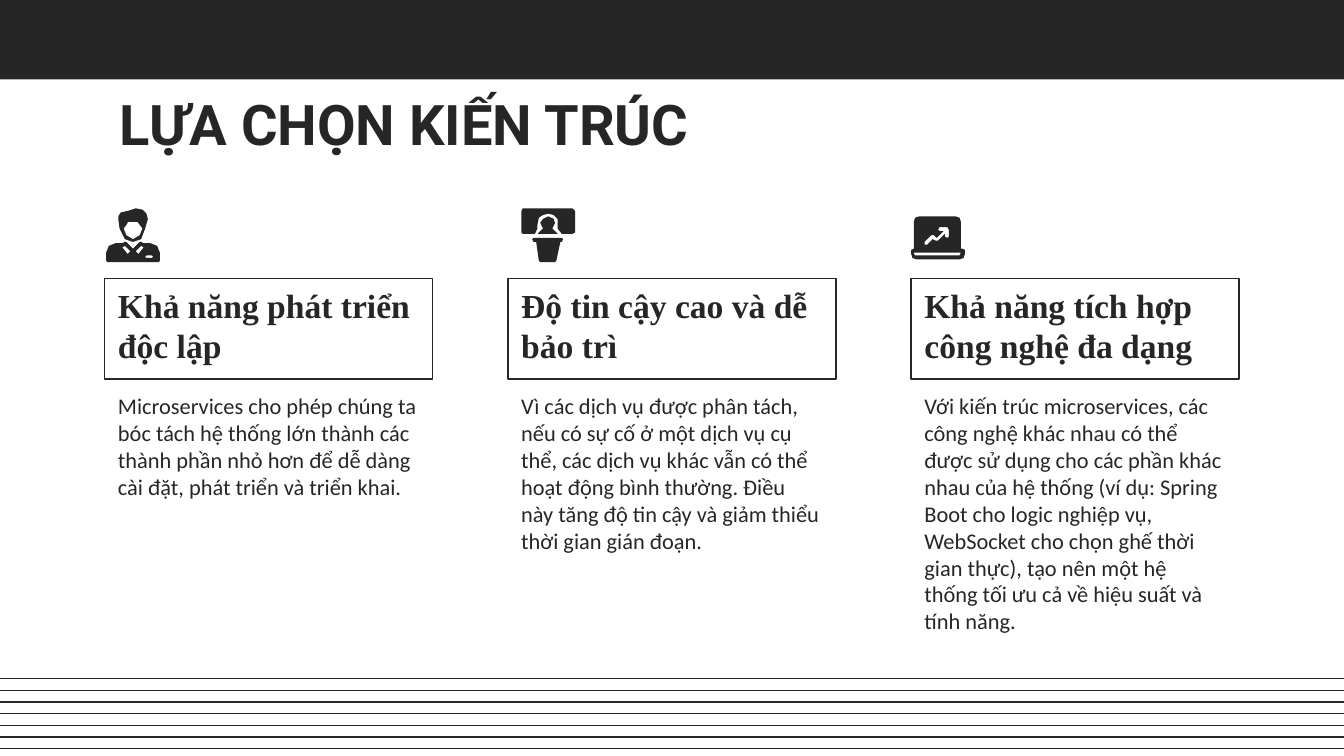
from pptx import Presentation
from pptx.dml.color import RGBColor
from pptx.enum import shapes, text
from pptx.util import Inches, Pt
from lxml import etree

DARK = RGBColor(0x26, 0x26, 0x26)
A_NS = "http://schemas.openxmlformats.org/drawingml/2006/main"

PERSON = [
    [
        [(23, 10), (24, 11), (27, 15), (25, 20), (20, 23), (15, 20), (13, 15),
         (16, 11), (16, 10)],
        [(22, 0), (16, 2), (11, 3), (9, 6), (9, 8), (10, 15), (14, 23), (20, 25),
         (26, 23), (29, 15), (31, 8), (30, 4), (27, 1)],
    ],
    [
        [(14, 28), (18, 32), (16, 34), (12, 29)],
        [(26, 28), (28, 29), (24, 34), (22, 32)],
        [(34, 35), (35, 36), (34, 37), (30, 37), (29, 36), (30, 35)],
        [(14, 25), (12, 26), (7, 26), (2, 28), (0, 33), (0, 39), (1, 40), (39, 40),
         (40, 39), (40, 33), (38, 28), (33, 26), (28, 26), (26, 25), (25, 25),
         (20, 30), (15, 25)],
    ],
]
SPEAKER = [
    [[(9, 22), (8, 23), (9, 25), (11, 25), (13, 39), (14, 40), (25, 40), (26, 39),
      (29, 25), (30, 25), (31, 23), (30, 22)]],
    [[(1, 0), (0, 2), (0, 18), (1, 19), (10, 19), (12, 15), (12, 12), (13, 7),
      (16, 5), (20, 4), (24, 5), (27, 8), (27, 12), (27, 15), (30, 19), (38, 19),
      (40, 18), (40, 2), (38, 0)]],
    [[(20, 6), (16, 8), (14, 11), (16, 15), (12, 19), (27, 19), (23, 15), (25, 11),
      (24, 8)]],
]
LAPTOP = [
    [
        [(27, 8), (28, 10), (28, 15), (27, 16), (25, 15), (25, 13), (20, 18),
         (18, 18), (16, 17), (12, 21), (10, 21), (10, 19), (15, 14), (17, 14),
         (19, 16), (24, 11), (21, 11), (20, 10), (21, 8)],
        [(37, 27), (36, 29), (3, 29), (2, 28), (2, 27)],
        [(6, 0), (3, 1), (2, 4), (2, 24), (0, 25), (0, 28), (1, 31), (4, 32),
         (36, 32), (39, 31), (40, 28), (40, 25), (38, 24), (37, 24), (37, 4),
         (36, 1), (33, 0)],
    ],
]

CARDS = [
    ("Khả năng phát triển độc lập",
     "Microservices cho phép chúng ta bóc tách hệ thống lớn thành các thành phần "
     "nhỏ hơn để dễ dàng cài đặt, phát triển và triển khai.",
     1.64, PERSON, 0.01, 0),
    ("Độ tin cậy cao và dễ bảo trì",
     "Vì các dịch vụ được phân tách, nếu có sự cố ở một dịch vụ cụ thể, các dịch vụ "
     "khác vẫn có thể hoạt động bình thường. Điều này tăng độ tin cậy và giảm thiểu "
     "thời gian gián đoạn.",
     1.64, SPEAKER, 0.1, 0),
    ("Khả năng tích hợp công nghệ đa dạng",
     "Với kiến trúc microservices, các công nghệ khác nhau có thể được sử dụng cho "
     "các phần khác nhau của hệ thống (ví dụ: Spring Boot cho logic nghiệp vụ, "
     "WebSocket cho chọn ghế thời gian thực), tạo nên một hệ thống tối ưu cả về hiệu "
     "suất và tính năng.",
     1.94, LAPTOP, 0, 0.06),
]


def add_text(s, x, y, w, h, words, font, size, bold=False, boxed=False):
    sp = s.shapes.add_textbox(Inches(x), Inches(y), Inches(w), Inches(h))
    tf = sp.text_frame
    tf.word_wrap = True
    tf.margin_left = tf.margin_right = tf.margin_top = tf.margin_bottom = Inches(0.1)
    if boxed:
        tf.vertical_anchor = text.MSO_ANCHOR.BOTTOM
        sp.line.color.rgb = DARK
        sp.line.width = Pt(0.75)
    p = tf.paragraphs[0]
    p.text = words
    p.font.name = font
    p.font.size = Pt(size)
    p.font.bold = bold
    p.font.color.rgb = DARK


def fill_dark(sp):
    sp.shadow.inherit = False
    sp.fill.solid()
    sp.fill.fore_color.rgb = DARK
    sp.line.fill.background()


def add_stripes(s, x, y, w, h, count=7):
    for i in range(count):
        line_y = Inches(y + i * h / (count - 1))
        line = s.shapes.add_connector(
            shapes.MSO_CONNECTOR.STRAIGHT, Inches(x + w), line_y, Inches(x), line_y)
        line.line.color.rgb = DARK
        line.line.width = Pt(0.75)
        etree.SubElement(line._element.spPr, f"{{{A_NS}}}effectLst")


def add_header(s, x, y, w, h):
    band = s.shapes.add_shape(
        shapes.MSO_SHAPE.RECTANGLE, Inches(x), Inches(y), Inches(w), Inches(h))
    fill_dark(band)
    add_text(s, x + 0.79, y + 0.57, 8.43, 0.63, "LỰA CHỌN KIẾN TRÚC", "Roboto", 30, True)


def add_icon(s, x, y, parts):
    for contours in parts:
        builder = s.shapes.build_freeform(*contours[0][0], scale=Inches(0.01))
        builder.add_line_segments(contours[0][1:])
        for contour in contours[1:]:
            builder.move_to(*contour[0])
            builder.add_line_segments(contour[1:])
        fill_dark(builder.convert_to_shape(Inches(x), Inches(y)))


def add_card(s, x, y, w, heading, body, body_h, icon, icon_dx, icon_dy):
    add_icon(s, x + icon_dx, y + icon_dy, icon)
    add_text(s, x, y + 0.52, w, 0.75, heading, "Times New Roman", 18, True, True)
    add_text(s, x, y + 1.27, w - 0.01, body_h, body, "Calibri", 12)


def main():
    prs = Presentation()
    prs.slide_width = Inches(10)
    prs.slide_height = prs.slide_width * 9 // 16
    s = prs.slides.add_slide(prs.slide_layouts[6])
    add_stripes(s, 0, 5.05, 10, 0.52)
    add_header(s, 0, 0, 10, 0.59)
    for i, card in enumerate(CARDS):
        add_card(s, 0.78 + 3 * i, 1.55, 2.44, *card)
    prs.save("out.pptx")


if __name__ == "__main__":
    main()
